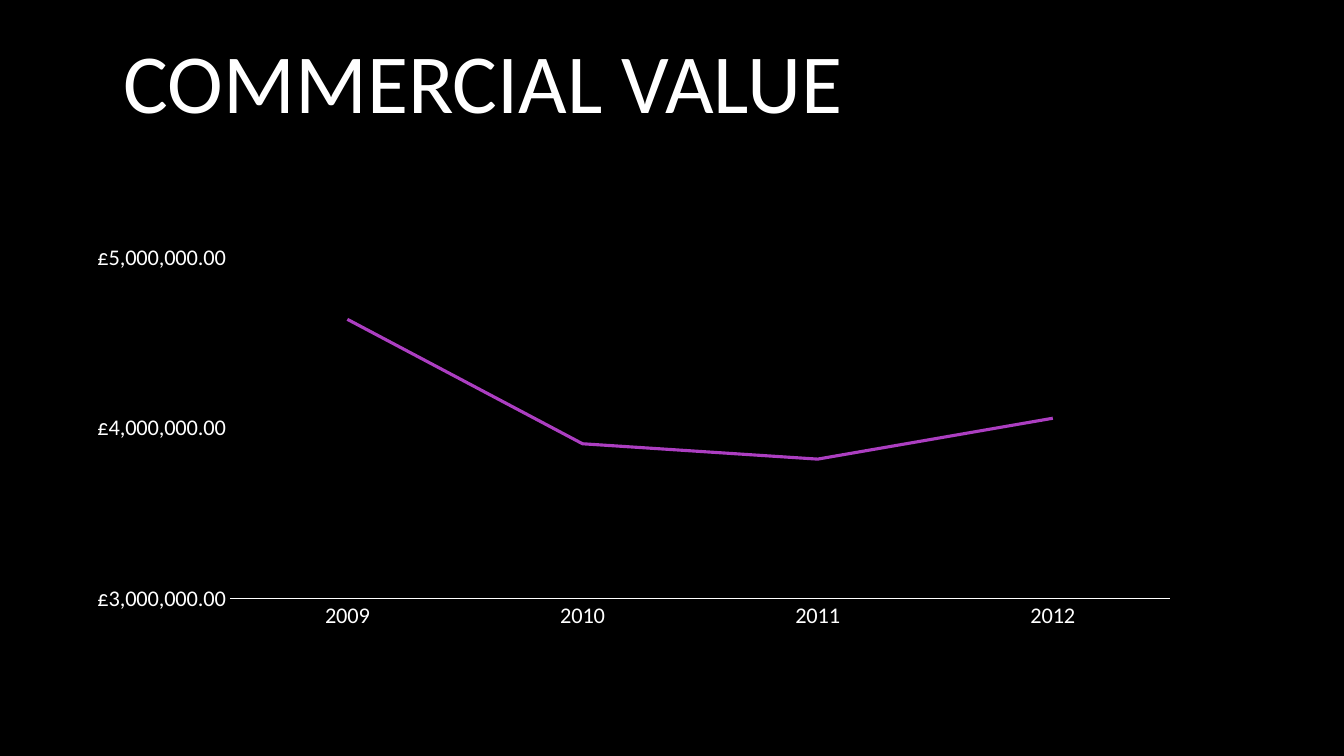
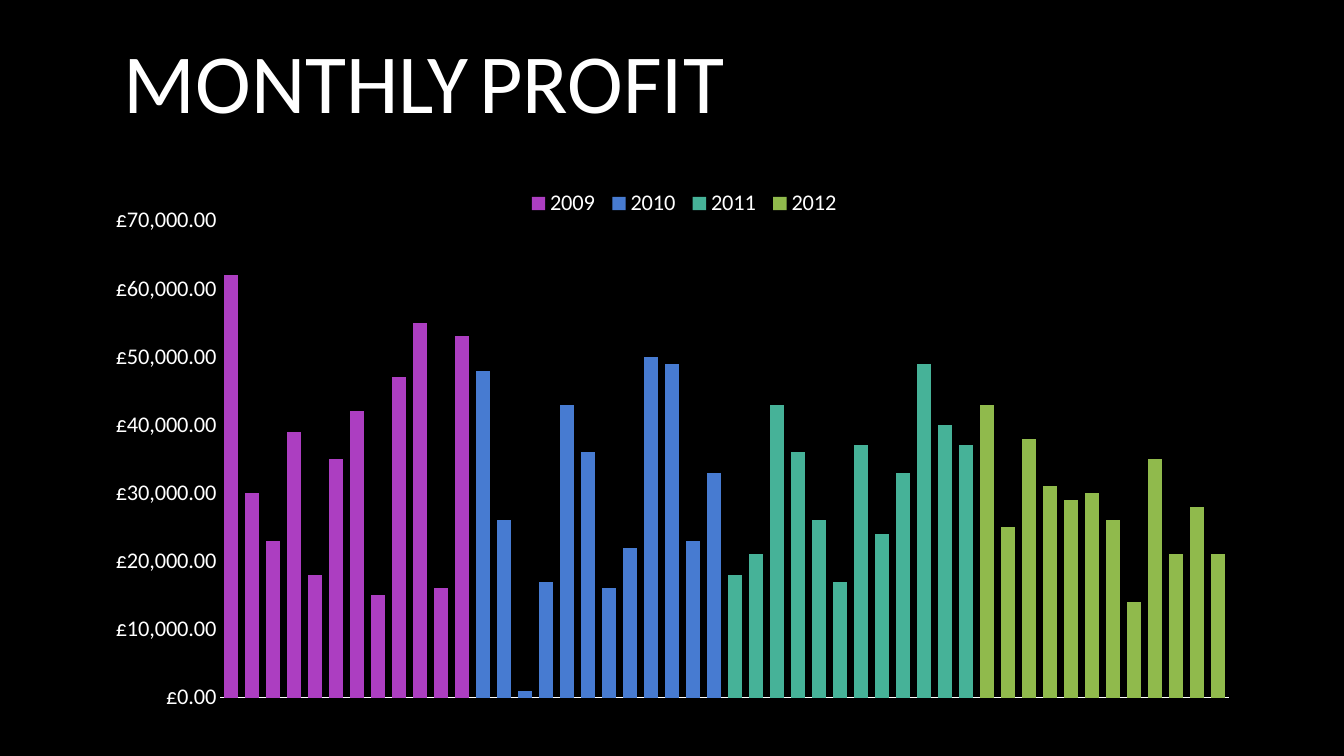
from lxml import etree
from pptx import Presentation
from pptx.chart.data import CategoryChartData
from pptx.dml.color import RGBColor
from pptx.enum.chart import (XL_CHART_TYPE as CT, XL_LEGEND_POSITION as LP,
                             XL_MARKER_STYLE as MS, XL_TICK_LABEL_POSITION as TL,
                             XL_TICK_MARK as TM)
from pptx.enum.text import MSO_ANCHOR
from pptx.oxml.ns import qn
from pptx.util import Inches, Pt

COLORS = {"bg": "000000", "text": "FFFFFF", "purple": "AC3EC1",
          "blue": "477BD1", "teal": "46B298", "green": "90BA4C"}
FONT = "Calibri"
POUNDS = '"£"#,##0.00'

COMMERCIAL_VALUE = {"2009": 4640000, "2010": 3910000, "2011": 3820000, "2012": 4060000}
# Monthly profit in thousands of pounds: year -> (colour, twelve months)
MONTHLY_PROFIT = {
    "2009": ("purple", (62, 30, 23, 39, 18, 35, 42, 15, 47, 55, 16, 53)),
    "2010": ("blue", (48, 26, 1, 17, 43, 36, 16, 22, 50, 49, 23, 33)),
    "2011": ("teal", (18, 21, 43, 36, 26, 17, 37, 24, 33, 49, 40, 37)),
    "2012": ("green", (43, 25, 38, 31, 29, 30, 26, 14, 35, 21, 28, 21)),
}


def rgb(name):
    return RGBColor.from_string(COLORS[name])


def style_font(font, size):
    font.name = FONT
    font.size = Pt(size)
    font.color.rgb = rgb("text")


def add_titled_slide(prs, title_runs):
    """Add a slide whose title is made of (text, size) runs."""
    s = prs.slides.add_slide(prs.slide_layouts[6])
    s.background.fill.solid()
    s.background.fill.fore_color.rgb = rgb("bg")
    tf = s.shapes.add_textbox(Inches(1.13), 0, Inches(11.08), Inches(1.59)).text_frame
    tf.word_wrap = True
    tf.vertical_anchor = MSO_ANCHOR.MIDDLE
    for text, size in title_runs:
        r = tf.paragraphs[0].add_run()
        r.text = text
        style_font(r.font, size)
    return s


def set_layout(parent, index, box, inner=False):
    """Place a chart part at box: x, y, w, h as fractions of the chart."""
    for old in parent.findall(qn("c:layout")):
        parent.remove(old)
    layout = etree.Element(qn("c:layout"))
    manual = etree.SubElement(layout, qn("c:manualLayout"))
    settings = [("layoutTarget", "inner")] if inner else []
    settings += [("xMode", "edge"), ("yMode", "edge"), *zip("xywh", box)]
    for tag, value in settings:
        etree.SubElement(manual, qn(f"c:{tag}")).set("val", str(value))
    parent.insert(index, layout)


def add_styled_chart(s, kind, box, data, plot_box):
    chart = s.shapes.add_chart(kind, *map(Inches, box), data).chart
    style_font(chart.font, 10)
    chart.has_title = False
    chart.has_legend = False
    chart.plots[0].vary_by_categories = False
    for axis in (chart.category_axis, chart.value_axis):
        axis.has_major_gridlines = False
        axis.major_tick_mark = axis.minor_tick_mark = TM.NONE
        style_font(axis.tick_labels.font, 16)
    line = chart.category_axis.format.line
    line.color.rgb = rgb("text")
    line.width = Pt(0.75)
    chart.value_axis.format.line.fill.background()
    chart.value_axis.tick_labels.number_format = POUNDS
    chart.value_axis.tick_labels.number_format_is_linked = False
    set_layout(chart.plots[0]._element.getparent(), 0, plot_box, inner=True)
    return chart


def add_value_chart(s, box):
    data = CategoryChartData(number_format=POUNDS)
    data.categories = list(COMMERCIAL_VALUE)
    data.add_series("Series 1", COMMERCIAL_VALUE.values())
    chart = add_styled_chart(s, CT.LINE, box, data, (0.138, 0.055, 0.842, 0.848))
    axis = chart.value_axis
    axis.minimum_scale, axis.maximum_scale, axis.major_unit = 3000000, 5000000, 1000000
    series = chart.plots[0].series[0]
    series.smooth = False
    series.marker.style = MS.NONE
    series.format.line.color.rgb = rgb("purple")
    series.format.line.width = Pt(2.25)


def add_profit_chart(s, box):
    """Each year fills its own twelve of the 48 months."""
    months = 12 * len(MONTHLY_PROFIT)
    data = CategoryChartData(number_format=POUNDS)
    data.categories = [str(month + 1) for month in range(months)]
    for i, (year, (_, profits)) in enumerate(MONTHLY_PROFIT.items()):
        values = [None] * months
        values[12 * i:12 * (i + 1)] = [1000 * profit for profit in profits]
        data.add_series(year, values)
    chart = add_styled_chart(s, CT.COLUMN_CLUSTERED, box, data, (0.11, 0.12, 0.87, 0.836))
    chart.category_axis.tick_label_position = TL.NONE
    axis = chart.value_axis
    axis.minimum_scale, axis.maximum_scale, axis.major_unit = 0, 70000, 10000
    plot = chart.plots[0]
    plot.gap_width, plot.overlap = 50, 100
    for series, (color, _) in zip(plot.series, MONTHLY_PROFIT.values()):
        series.format.fill.solid()
        series.format.fill.fore_color.rgb = rgb(color)
    chart.has_legend = True
    legend = chart.legend
    legend.position = LP.TOP
    legend.include_in_layout = False
    style_font(legend.font, 16)
    set_layout(legend._element, 1, (0.37, 0.055, 0.28, 0.07))


def main():
    prs = Presentation()
    prs.slide_width, prs.slide_height = Inches(13.33), Inches(7.5)
    s = add_titled_slide(prs, [("COMMERCIAL VALUE", 60)])
    add_value_chart(s, (0.75, 2.34, 11.08, 3.99))
    s = add_titled_slide(prs, [("MONTHLY", 60), (" ", 36), ("PROFIT", 60)])
    add_profit_chart(s, (0.92, 1.51, 11.5, 5.66))
    prs.save("out.pptx")


if __name__ == "__main__":
    main()
